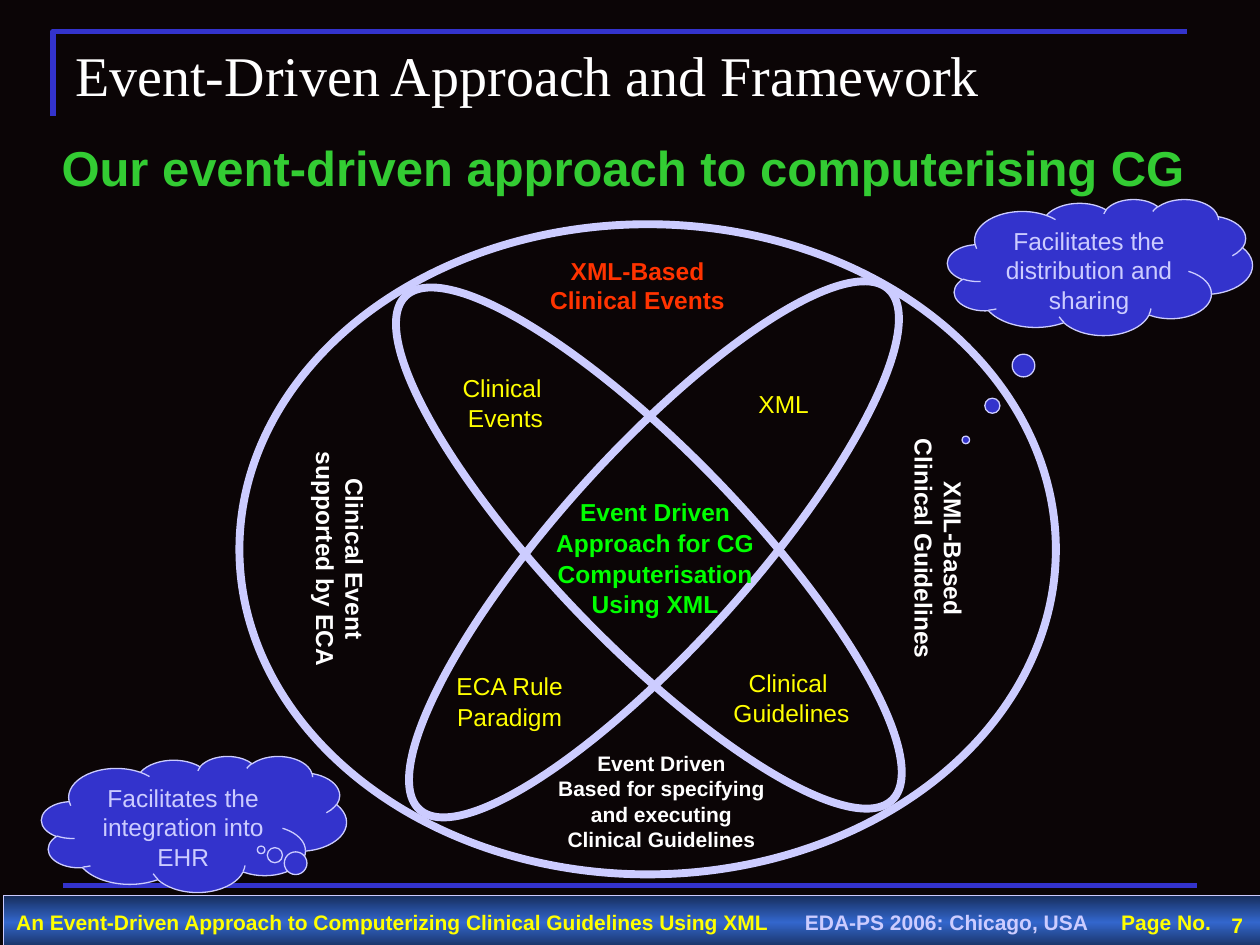
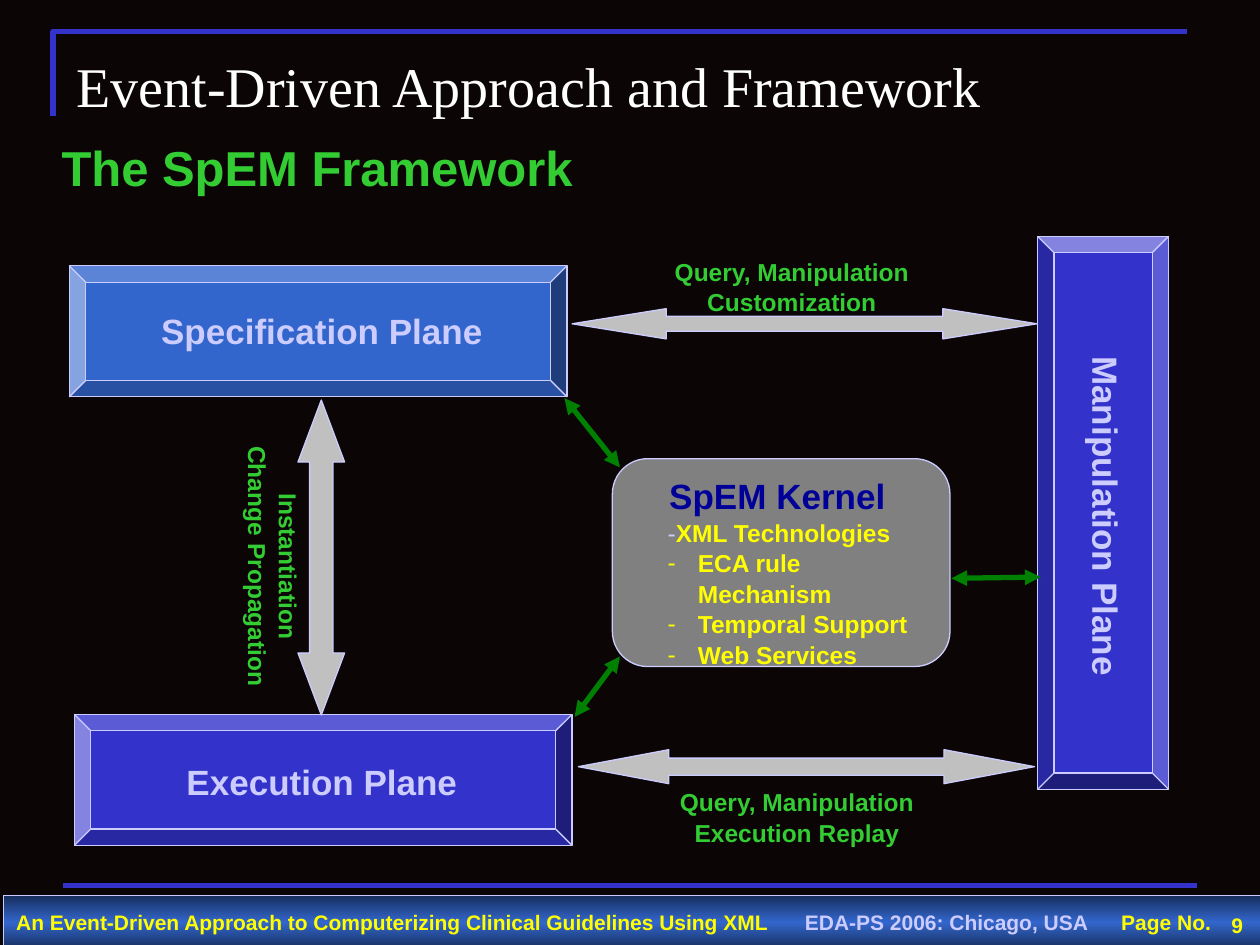
"""Build two slides on an event-driven approach to clinical guidelines."""
from copy import deepcopy
from dataclasses import dataclass
from typing import Any, Optional

from lxml.etree import SubElement
from pptx import Presentation
from pptx.dml.color import RGBColor
from pptx.enum.shapes import MSO_CONNECTOR, MSO_SHAPE
from pptx.enum.text import MSO_ANCHOR, PP_ALIGN
from pptx.oxml.ns import qn
from pptx.util import Inches, Pt

NIGHT = RGBColor(0x0B, 0x05, 0x06)
ROYAL = RGBColor(0x33, 0x33, 0xCC)
AZURE = RGBColor(0x33, 0x66, 0xCC)
NAVY = RGBColor(0x17, 0x2F, 0x5E)
INDIGO = RGBColor(0x00, 0x00, 0x99)
LAVENDER = RGBColor(0xCC, 0xCC, 0xFF)
YELLOW = RGBColor(0xFF, 0xFF, 0x00)
WHITE = RGBColor(0xFF, 0xFF, 0xFF)
LIME = RGBColor(0x00, 0xFF, 0x00)
GREEN = RGBColor(0x33, 0xCC, 0x33)
FOREST = RGBColor(0x00, 0x80, 0x00)
ORANGE = RGBColor(0xFF, 0x33, 0x00)
SILVER = RGBColor(0xC0, 0xC0, 0xC0)
GREY = RGBColor(0x80, 0x80, 0x80)

Box = tuple[float, float, float, float]
HAIRLINE, RULE, RING = 0.74, 3, 4.51
TITLE = "Event-Driven Approach and Framework"
FOOTER = (
    ("An Event-Driven Approach to Computerizing Clinical Guidelines Using XML", YELLOW),
    ("\tEDA-PS 2006: Chicago, USA", LAVENDER),
    ("\tPage No.", YELLOW),
)
FOOTER_TABS = (6.26, 8.77)


@dataclass(frozen=True)
class Label:
    """Lines of text in a box."""
    lines: tuple[str, ...]
    box: Box
    color: RGBColor
    size: float = 14
    bold: bool = True
    rotation: float = 0
    spacing: float = 1.04
    align: PP_ALIGN = PP_ALIGN.CENTER
    anchor: MSO_ANCHOR = MSO_ANCHOR.TOP
    font: str = "Arial"
    space_before: float = 0


@dataclass(frozen=True)
class Figure:
    """A preset shape with its outline."""
    preset: MSO_SHAPE
    box: Box
    fill: Optional[RGBColor]
    line: float = HAIRLINE
    rotation: float = 0
    adjustments: tuple[float, ...] = ()


def apply(target: Any, formats: dict[str, Any]) -> None:
    """Set every format value on the target."""
    for attribute, value in formats.items():
        setattr(target, attribute, value)


def inches(box: tuple[float, ...]) -> list[Inches]:
    """Convert a box to lengths."""
    return [Inches(value) for value in box]


def add_run(paragraph: Any, text: str, color: RGBColor, size: float,
            bold: bool, font: str = "Arial") -> None:
    """Append one formatted run."""
    run = paragraph.add_run()
    run.text = text
    apply(run.font, {"name": font, "size": Pt(size), "bold": bold})
    run.font.color.rgb = color


def write(frame: Any, label: Label) -> None:
    """Fill a text frame with the lines of a label."""
    apply(frame, {"word_wrap": True, "vertical_anchor": label.anchor})
    for index, text in enumerate(label.lines):
        paragraph = frame.add_paragraph() if index else frame.paragraphs[0]
        apply(paragraph, {"alignment": label.align, "line_spacing": label.spacing,
                          "space_before": Pt(label.space_before)})
        add_run(paragraph, text, label.color, label.size, label.bold, label.font)


def add_label(slide: Any, label: Label) -> None:
    """Draw a label as a text box."""
    holder = slide.shapes.add_textbox(*inches(label.box))
    holder.rotation = label.rotation
    write(holder.text_frame, label)


def add_figure(slide: Any, figure: Figure) -> Any:
    """Draw a preset shape."""
    drawn = slide.shapes.add_shape(figure.preset, *inches(figure.box))
    drawn.shadow.inherit = False
    drawn.rotation = figure.rotation
    for index, value in enumerate(figure.adjustments):
        drawn.adjustments[index] = value
    if figure.fill is None:
        drawn.fill.background()
    else:
        drawn.fill.solid()
        drawn.fill.fore_color.rgb = figure.fill
    drawn.line.color.rgb = LAVENDER
    drawn.line.width = Pt(figure.line)
    return drawn


def add_line(slide: Any, start: tuple[float, float], end: tuple[float, float],
             color: RGBColor, arrows: bool = False) -> None:
    """Draw a straight line, with arrowheads at both ends if asked."""
    line = slide.shapes.add_connector(MSO_CONNECTOR.STRAIGHT, *inches(start + end))
    line.line.color.rgb = color
    line.line.width = Pt(RULE)
    properties = line._element.spPr
    if arrows:
        outline = properties.find(qn("a:ln"))
        for tip in ("a:headEnd", "a:tailEnd"):
            SubElement(outline, qn(tip), type="triangle")
    SubElement(properties, qn("a:effectLst"))


def add_footer(slide: Any, number: int) -> None:
    """Draw the footer band and the page number."""
    band = add_figure(slide, Figure(MSO_SHAPE.RECTANGLE, (0.03, 7.11, 10.01, 0.42), NAVY))
    band.fill.gradient()
    band.fill.gradient_angle = 90
    stops = band._element.spPr.find(".//" + qn("a:gsLst"))
    stops.append(deepcopy(stops[-1]))
    for stop, position, color in zip(band.fill.gradient_stops, (0, 0.5, 1), (NAVY, AZURE, NAVY)):
        stop.position = position
        stop.color.rgb = color
    apply(band.text_frame, {"word_wrap": True, "vertical_anchor": MSO_ANCHOR.MIDDLE})
    paragraph = band.text_frame.paragraphs[0]
    paragraph.alignment = PP_ALIGN.LEFT
    tabs = SubElement(paragraph._p.get_or_add_pPr(), qn("a:tabLst"))
    for position in FOOTER_TABS:
        SubElement(tabs, qn("a:tab"), pos=str(Inches(position)), algn="l")
    for text, color in FOOTER:
        add_run(paragraph, text, color, 12, True)
    add_label(slide, Label((str(number),), (9.61, 7.17, 0.42, 0.32), YELLOW, 12,
                           spacing=1, anchor=MSO_ANCHOR.BOTTOM))


def add_page(deck: Any, number: int, subtitle: str, title_box: Box, anchor: MSO_ANCHOR) -> Any:
    """Start a slide with the frame, footer and headings."""
    slide = deck.slides.add_slide(deck.slide_layouts[6])
    slide.background.fill.solid()
    slide.background.fill.fore_color.rgb = NIGHT
    builder = slide.shapes.build_freeform(Inches(0.42), Inches(0.92))
    builder.add_line_segments([(Inches(0.42), Inches(0.25)), (Inches(9.42), Inches(0.25))], close=False)
    corner = builder.convert_to_shape()
    corner.shadow.inherit = False
    corner.fill.background()
    corner.line.color.rgb = ROYAL
    corner.line.width = Pt(RULE)
    add_line(slide, (0.5, 7.03), (9.5, 7.03), ROYAL)
    add_footer(slide, number)
    add_label(slide, Label((TITLE,), title_box, WHITE, 32, False, spacing=0.98,
                           align=PP_ALIGN.LEFT, anchor=anchor, font="Times New Roman"))
    add_label(slide, Label((subtitle,), (0.39, 1.02, 9.5, 0.67), GREEN, 28,
                           align=PP_ALIGN.LEFT, space_before=7.5))
    return slide


def add_kernel_list(slide: Any) -> None:
    """Write the dashed list of kernel parts."""
    frame = slide.shapes.add_textbox(*inches((5.2, 4.05, 2.28, 1.07))).text_frame
    frame.word_wrap = True
    first = frame.paragraphs[0]
    first.line_spacing = 1.04
    add_run(first, "-", LAVENDER, 14, False)
    add_run(first, "XML Technologies", YELLOW, 14, True)
    for part in ("ECA rule Mechanism", "Temporal Support", "Web Services"):
        paragraph = frame.add_paragraph()
        paragraph.line_spacing = 1.04
        properties = paragraph._p.get_or_add_pPr()
        properties.set("marL", str(Inches(0.24)))
        properties.set("indent", str(-Inches(0.24)))
        bullet_color = SubElement(properties, qn("a:buClr"))
        SubElement(bullet_color, qn("a:srgbClr"), val=str(YELLOW))
        SubElement(properties, qn("a:buFont"), typeface="Arial")
        SubElement(properties, qn("a:buChar"), char="-")
        add_run(paragraph, part, YELLOW, 14, True)


def build_approach(deck: Any) -> None:
    """Build the slide with the overlapping ellipses."""
    slide = add_page(deck, 7, "Our event-driven approach to computerising CG",
                     (0.5, 0.3, 9.34, 0.63), MSO_ANCHOR.TOP)
    for box, fill, rotation in (
        ((1.9, 1.78, 6.48, 5.16), NIGHT, 0),
        ((2.37, 3.59, 5.56, 1.52), None, 46),
        ((2.41, 3.6, 5.56, 1.52), None, 132),
    ):
        add_figure(slide, Figure(MSO_SHAPE.OVAL, box, fill, RING, rotation))
    for lines, box in (
        (("XML",), (5.82, 3.03, 0.8, 0.35)),
        (("ECA Rule", "Paradigm"), (3.42, 5.27, 1.25, 0.59)),
        (("Clinical", " Guidelines"), (5.55, 5.24, 1.41, 0.59)),
        (("Clinical", " Events"), (3.46, 2.9, 1.05, 0.59)),
    ):
        add_label(slide, Label(lines, box, YELLOW, bold=False))
    for label in (
        Label(("Event Driven", "Approach for CG Computerisation", "Using XML"),
              (4.18, 3.89, 2.04, 1.07), LIME),
        Label(("Event Driven", "Based for specifying and executing", "Clinical Guidelines"),
              (4.23, 5.91, 2.04, 0.9), WHITE, 12, spacing=1),
        Label(("Clinical Event supported by ECA",), (1.68, 4.15, 2.04, 0.57), WHITE,
              rotation=90, spacing=1),
        Label(("XML-Based", "Clinical Guidelines"), (6.43, 4.07, 2.04, 0.57), WHITE,
              rotation=90, spacing=1),
        Label(("XML-Based", "Clinical Events"), (4.04, 1.98, 2.04, 0.57), ORANGE, spacing=1),
    ):
        add_label(slide, label)
    for benefit, box, pointer in (
        ("Facilitates the integration into EHR", (0.33, 6, 2.42, 1.08), (0.22, 0.19)),
        ("Facilitates the distribution and sharing", (7.52, 1.58, 2.42, 1.08), (-0.44, 1.27)),
    ):
        cloud = add_figure(slide, Figure(MSO_SHAPE.CLOUD_CALLOUT, box, ROYAL, adjustments=pointer))
        write(cloud.text_frame, Label((benefit,), box, LAVENDER, bold=False, spacing=1))


def build_framework(deck: Any) -> None:
    """Build the slide with the planes around the kernel."""
    slide = add_page(deck, 9, "The SpEM Framework", (0.51, 0.32, 9.42, 0.75), MSO_ANCHOR.MIDDLE)
    for name, plane_box, name_box, fill, rotation in (
        ("Specification Plane", (0.55, 2.11, 3.95, 1.04), (1.02, 2.39, 3.07, 0.45), AZURE, 0),
        ("Execution Plane", (0.59, 5.67, 3.95, 1.04), (1.02, 5.97, 3.07, 0.45), ROYAL, 0),
        ("Manipulation Plane", (6.56, 3.55, 4.39, 1.04), (6.8, 3.87, 3.97, 0.45), ROYAL, 90),
    ):
        add_figure(slide, Figure(MSO_SHAPE.BEVEL, plane_box, fill, rotation=rotation,
                                 adjustments=(0.125,)))
        add_label(slide, Label((name,), name_box, LAVENDER, 20, rotation=rotation))
    for lines, label_box, arrow_box, head, rotation in (
        (("Query, Manipulation", "Customization"),
         (5.15, 1.98, 2.27, 0.59), (4.54, 2.45, 3.69, 0.24), 3.11, 0),
        (("Query, Manipulation", "Execution Replay"),
         (5.19, 6.19, 2.27, 0.59), (4.59, 5.95, 3.62, 0.27), 2.66, 0),
        (("Instantiation", "Change Propagation"),
         (0.97, 4.2, 2.4, 0.59), (1.3, 4.24, 2.5, 0.37), 1.33, 90),
    ):
        add_label(slide, Label(lines, label_box, GREEN, rotation=rotation))
        add_figure(slide, Figure(MSO_SHAPE.LEFT_RIGHT_ARROW, arrow_box, SILVER,
                                 rotation=rotation, adjustments=(0.5, head)))
    add_figure(slide, Figure(MSO_SHAPE.ROUNDED_RECTANGLE, (4.86, 3.64, 2.68, 1.65), GREY,
                             adjustments=(0.17,)))
    add_label(slide, Label(("SpEM Kernel",), (4.84, 3.7, 2.66, 0.45), INDIGO, 20))
    add_kernel_list(slide)
    for start, end in (
        ((4.56, 5.69), (4.92, 5.21)),
        ((4.48, 3.16), (4.92, 3.71)),
        ((7.55, 4.59), (8.26, 4.58)),
    ):
        add_line(slide, start, end, FOREST, arrows=True)


def main() -> None:
    """Build and save the presentation."""
    deck = Presentation()
    apply(deck, {"slide_width": Inches(10), "slide_height": Inches(7.5)})
    build_approach(deck)
    build_framework(deck)
    deck.save("out.pptx")


main()
